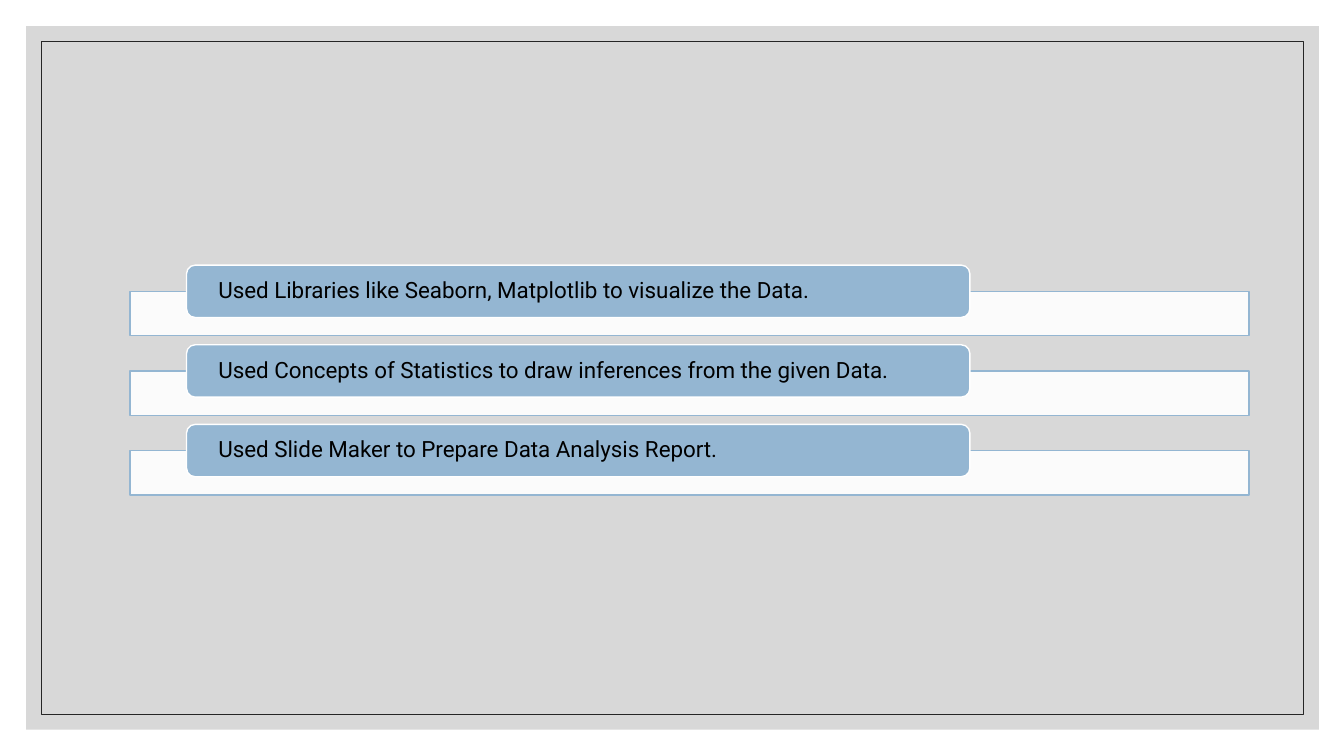
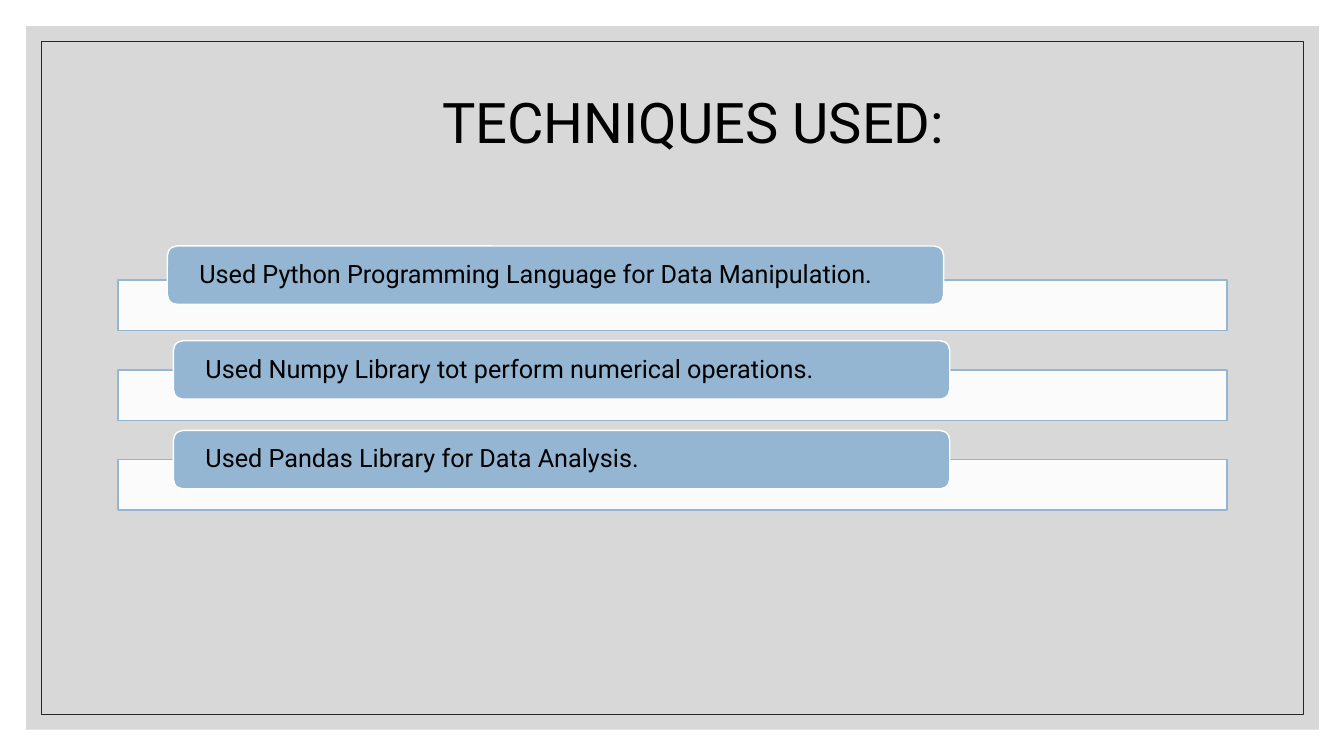
"""Build two slides listing the techniques used in a data analysis project."""
import pptx
import pptx.dml.color
import pptx.enum.shapes
import pptx.enum.text
import pptx.oxml
import pptx.oxml.ns
import pptx.util

Inches = pptx.util.Inches
Pt = pptx.util.Pt
SHAPES = pptx.enum.shapes.MSO_SHAPE
ANCHOR = pptx.enum.text.MSO_ANCHOR
ALIGN = pptx.enum.text.PP_ALIGN


class Deck:
    COLORS = {
        "panel": "BFBFBF",
        "frame": "262626",
        "accent": "94B6D2",
        "white": "FFFFFF",
        "text": "000000",
    }
    FONT = "Roboto"

    def __init__(self):
        self.presentation = pptx.Presentation()
        self.presentation.slide_width = Inches(13.33)
        self.presentation.slide_height = Inches(7.5)
        self.slide = None

    def color(self, name):
        return pptx.dml.color.RGBColor.from_string(self.COLORS[name])

    def add_slide(self):
        self.slide = self.presentation.slides.add_slide(self.presentation.slide_layouts[6])
        self.box(0.26, 0.26, 12.82, 6.98, fill="panel", opacity=60)
        self.box(0.41, 0.41, 12.52, 6.68, line="frame", weight=0.5)

    def box(self, left, top, width, height, kind=SHAPES.RECTANGLE,
            fill=None, opacity=100, line=None, weight=1):
        box = self.slide.shapes.add_shape(
            kind, Inches(left), Inches(top), Inches(width), Inches(height))
        box.shadow.inherit = False
        if fill:
            box.fill.solid()
            box.fill.fore_color.rgb = self.color(fill)
        else:
            box.fill.background()
        if opacity < 100:
            tint = box.element.spPr.find(".//" + pptx.oxml.ns.qn("a:srgbClr"))
            alpha = pptx.oxml.parse_xml(
                f'<a:alpha {pptx.oxml.ns.nsdecls("a")} val="{opacity * 1000}"/>')
            tint.append(alpha)
        if line:
            box.line.color.rgb = self.color(line)
            box.line.width = Pt(weight)
        else:
            box.line.fill.background()
        return box

    def set_text(self, frame, wording, size, align):
        frame.word_wrap = True
        frame.text = wording
        paragraph = frame.paragraphs[0]
        paragraph.alignment = align
        font = paragraph.runs[0].font
        font.name = self.FONT
        font.size = Pt(size)
        font.color.rgb = self.color("text")
        return paragraph

    def title(self, wording):
        heading = self.slide.shapes.add_textbox(
            Inches(1.29), Inches(0.82), Inches(11.17), Inches(0.8))
        self.set_text(heading.text_frame, wording, 40, ALIGN.CENTER)

    def bar(self, left, top, width, height):
        self.box(left, top, width, height, fill="white", opacity=90, line="accent")

    def tab(self, left, top, width, height, wording, size):
        tab = self.box(left, top, width, height, SHAPES.ROUNDED_RECTANGLE,
                       fill="accent", line="white")
        frame = tab.text_frame
        frame.margin_left = frame.margin_right = Inches(0.29)
        frame.margin_top = frame.margin_bottom = 0
        frame.vertical_anchor = ANCHOR.MIDDLE
        self.set_text(frame, wording, size, ALIGN.LEFT).line_spacing = 0.9

    def technique_list(self, techniques, bar, tab, step, size, first_shift=(0, 0)):
        bar_left, bar_top, *bar_size = bar
        tab_left, tab_top, *tab_size = tab
        for row, wording in enumerate(techniques):
            drop = row * step
            shift_x, shift_y = first_shift if row == 0 else (0, 0)
            self.bar(bar_left, bar_top + drop, *bar_size)
            self.tab(tab_left + shift_x, tab_top + drop + shift_y, *tab_size, wording, size)


def main():
    deck = Deck()

    deck.add_slide()
    deck.technique_list(
        [
            "Used Libraries like Seaborn, Matplotlib to visualize the Data.",
            "Used Concepts of Statistics to draw inferences from the given Data.",
            "Used Slide Maker to Prepare Data Analysis Report.",
        ],
        bar=(1.29, 2.89, 11.1, 0.44), tab=(1.85, 2.63, 7.77, 0.52), step=0.79, size=16)

    deck.add_slide()
    deck.title("TECHNIQUES USED:")
    deck.technique_list(
        [
            "Used Python Programming Language for Data Manipulation.",
            "Used Numpy Library tot perform numerical operations.",
            "Used Pandas Library for Data Analysis.",
        ],
        bar=(1.17, 2.78, 11, 0.5), tab=(1.72, 2.49, 7.7, 0.58), step=0.89, size=18,
        first_shift=(-0.06, -0.05))

    deck.presentation.save("out.pptx")


if __name__ == "__main__":
    main()
